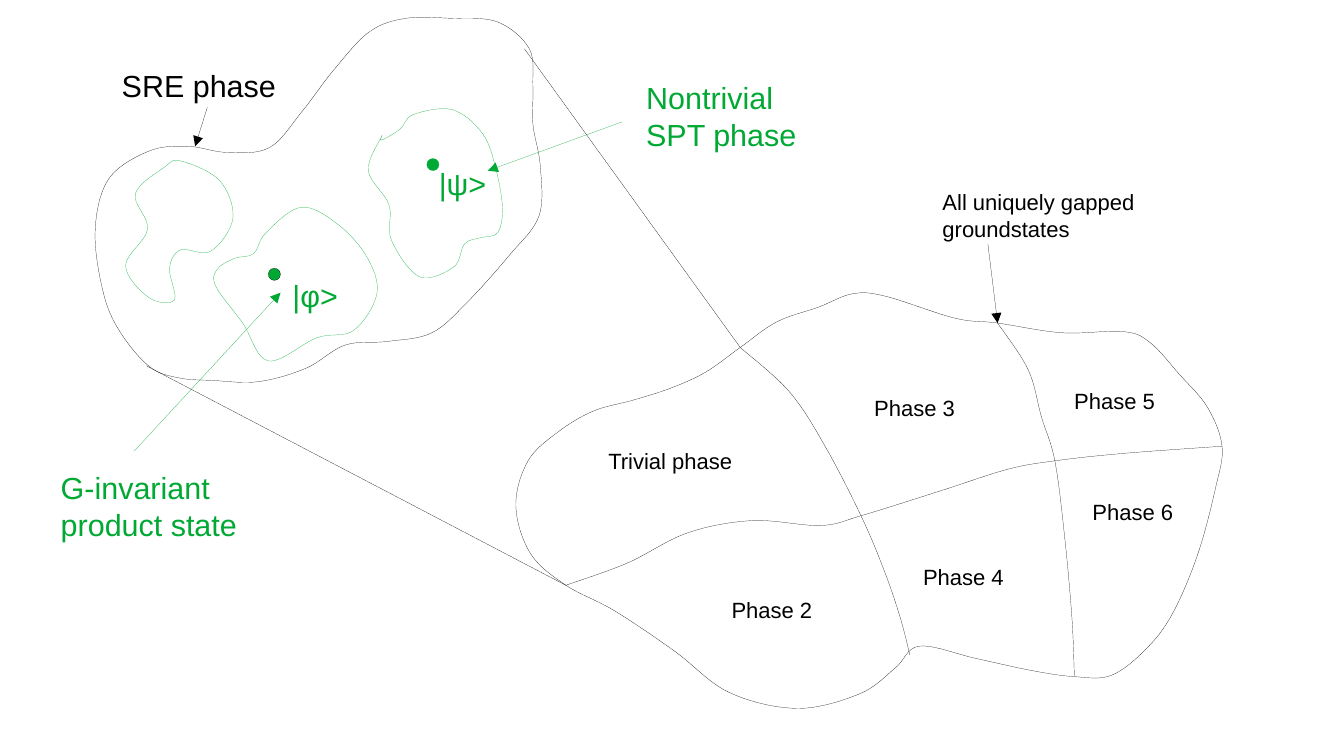
from lxml.etree import SubElement
from pptx import Presentation
from pptx.dml.color import RGBColor
from pptx.enum.shapes import MSO_CONNECTOR, MSO_SHAPE
from pptx.enum.text import MSO_AUTO_SIZE
from pptx.oxml.ns import qn
from pptx.util import Inches, Pt

BLACK = RGBColor(0x00, 0x00, 0x00)
GREEN = RGBColor(0x00, 0xA9, 0x33)
FONT = "Arial"
SMALL, LARGE = 13, 18  # points
HAIRLINE = Pt(0.1)
STATE_SIZE = 0.1  # diameter of a state's dot, in inches

# Junctions, in inches: where the phase borders meet the rim or each other.
TOP_LEFT, TOP_RIGHT = (6.07, 2.85), (8.18, 2.65)
LEFT, RIGHT = (4.64, 4.8), (10.02, 3.66)
BOTTOM_LEFT, BOTTOM_RIGHT = (7.46, 5.37), (8.81, 5.55)
LEFT_CROSSING, RIGHT_CROSSING = (7.06, 4.23), (8.65, 3.78)

# Every curve passes smoothly through its anchors.
RIM = [
    TOP_LEFT, (5.79, 3.05), (5.51, 3.18), (5.2, 3.28), (4.87, 3.37), (4.58, 3.54),
    (4.33, 3.78), (4.23, 4.15), (4.35, 4.54), LEFT, (5.04, 5.01), (5.53, 5.34),
    (5.98, 5.68), (6.54, 5.81), (7.05, 5.69), (7.34, 5.48), (7.54, 5.3), (8.0, 5.4),
    (8.46, 5.5), BOTTOM_RIGHT, (9.11, 5.54), (9.39, 5.33), (9.61, 5.04), (9.82, 4.55),
    (9.97, 3.99), RIGHT, (9.9, 3.34), (9.67, 3.07), (9.43, 2.81), (9.21, 2.72),
    (8.71, 2.73), TOP_RIGHT, (7.83, 2.61), (7.26, 2.43), (6.99, 2.41), (6.71, 2.52),
    (6.37, 2.64),
]
BORDERS = {
    "left": [TOP_LEFT, (6.47, 3.21), (6.76, 3.65), LEFT_CROSSING, (7.25, 4.68),
             (7.38, 5.06), BOTTOM_LEFT],
    "right": [TOP_RIGHT, (8.43, 3.03), (8.54, 3.42), RIGHT_CROSSING, (8.73, 4.4),
              (8.79, 5.07), BOTTOM_RIGHT],
    "across": [LEFT, (5.14, 4.62), (5.64, 4.37), (6.17, 4.27), (6.73, 4.31),
               LEFT_CROSSING, (7.7, 4.03), (8.26, 3.85), RIGHT_CROSSING, (9.2, 3.72),
               RIGHT],
}
SRE_LOWER, SRE_UPPER = (1.23, 3.01), (4.34, 0.4)  # where the magnified view attaches
SRE_RIM = [
    SRE_LOWER, (0.99, 2.73), (0.85, 2.41), (0.78, 1.9), (0.89, 1.47), (1.22, 1.24),
    (1.54, 1.2), (1.86, 1.25), (2.21, 1.21), (2.48, 0.91), (2.74, 0.57), (3.03, 0.26),
    (3.33, 0.15), (3.7, 0.15), (4.08, 0.18), SRE_UPPER, (4.37, 0.71), (4.37, 1.02),
    (4.43, 1.36), (4.42, 1.77), (4.18, 2.09), (3.83, 2.48), (3.54, 2.73), (3.18, 2.8),
    (2.83, 2.83), (2.51, 3.02), (2.12, 3.13), (1.74, 3.12), (1.47, 3.1),
]
SPT_RIMS = {
    "product": [(2.18, 1.91), (2.08, 2.08), (1.92, 2.12), (1.78, 2.21), (1.77, 2.35),
                (1.99, 2.65), (2.2, 2.96), (2.6, 2.77), (2.9, 2.71), (3.09, 2.41),
                (3.01, 2.11), (2.77, 1.84), (2.47, 1.7)],
    "nontrivial": [(3.13, 1.12), (3.02, 1.4), (3.19, 1.68), (3.21, 1.97), (3.44, 2.27),
                   (3.72, 2.19), (3.81, 2.0), (3.94, 1.95), (4.08, 1.91), (4.12, 1.71),
                   (4.07, 1.4), (3.96, 1.1), (3.71, 0.9), (3.39, 0.94), (3.28, 1.06),
                   (3.13, 1.15)],
    "third": [(1.35, 1.37), (1.11, 1.59), (1.21, 1.88), (1.03, 2.18), (1.22, 2.44),
              (1.43, 2.46), (1.39, 2.2), (1.48, 2.05), (1.73, 2.06), (1.91, 1.79),
              (1.8, 1.48), (1.48, 1.32)],
}
ZOOM_LINES = [(LEFT, (1.2, 3)), (TOP_LEFT, (4.3, 0.4))]
STATES = [((2.2, 2.2), BLACK), ((3.5, 1.3), GREEN)]  # corner, outline colour
PHASES = {  # name: corner of its label
    "Trivial phase": (4.89, 3.62),
    "Phase 2": (5.9, 4.84),
    "Phase 3": (7.07, 3.19),
    "Phase 4": (7.47, 4.57),
    "Phase 5": (8.71, 3.13),
    "Phase 6": (8.86, 4.04),
}
STATE_NAMES = {"|φ>": (2.3, 2.22), "|ψ>": (3.5, 1.3)}
CALLOUTS = [  # text, corner, width, size, colour, arrow start, arrow end
    ("All uniquely gapped groundstates", (7.63, 1.5), 1.87, SMALL, BLACK, (8.1, 2), TOP_RIGHT),
    ("SRE phase", (0.9, 0.5), 1.5, LARGE, BLACK, (1.7, 0.88), (1.6, 1.2)),
    ("Nontrivial\nSPT phase", (5.2, 0.6), 1.9, LARGE, GREEN, (5.1, 1), (4, 1.4)),
    ("G-invariant product state", (0.4, 3.8), 2.1, LARGE, GREEN, (1.1, 3.7), (2.3, 2.4)),
]


def emu(*lengths):
    return [Inches(length) for length in lengths]


def set_hairline(shape, colour):
    shape.line.color.rgb = colour
    shape.line.width = HAIRLINE


def smooth(curve, closed):
    """Turn the straight segments of a freeform into Catmull-Rom curves."""
    anchors = [(int(pt.get("x")), int(pt.get("y"))) for pt in curve._element.iter(qn("a:pt"))]
    before, after = (anchors[-2], anchors[1]) if closed else (anchors[0], anchors[-1])
    padded = [before, *anchors, after]
    for i, segment in enumerate(list(curve._element.iter(qn("a:lnTo")))):
        p0, p1, p2, p3 = padded[i:i + 4]
        leave = [b + (c - a) / 6 for a, b, c in zip(p0, p1, p2)]
        arrive = [b - (c - a) / 6 for a, b, c in zip(p1, p2, p3)]
        segment.tag = qn("a:cubicBezTo")
        segment.clear()
        for x, y in (leave, arrive, p2):
            SubElement(segment, qn("a:pt"), x=str(round(x)), y=str(round(y)))


def add_curve(shapes, anchors, colour, closed=True):
    start, *rest = [emu(*anchor) for anchor in anchors]
    builder = shapes.build_freeform(*start)
    builder.add_line_segments(rest + [start] if closed else rest, close=closed)
    curve = builder.convert_to_shape()
    smooth(curve, closed)
    curve.shadow.inherit = False
    curve.fill.background()
    set_hairline(curve, colour)


def add_line(shapes, start, end, colour, arrow=False):
    line = shapes.add_connector(MSO_CONNECTOR.STRAIGHT, *emu(*start, *end))
    set_hairline(line, colour)
    if arrow:
        SubElement(line.line._get_or_add_ln(), qn("a:tailEnd"), type="triangle")
    SubElement(line._element.spPr, qn("a:effectLst"))


def add_state(shapes, corner, outline):
    state = shapes.add_shape(MSO_SHAPE.OVAL, *emu(*corner, STATE_SIZE, STATE_SIZE))
    state.shadow.inherit = False
    state.fill.solid()
    state.fill.fore_color.rgb = GREEN
    set_hairline(state, outline)


def add_label(shapes, text, corner, width, size, colour, lines=1):
    height = 0.1 + lines * size * 1.12 / 72  # margins plus lines of text
    frame = shapes.add_textbox(*emu(*corner, width, height)).text_frame
    frame.word_wrap = True
    frame.auto_size = MSO_AUTO_SIZE.SHAPE_TO_FIT_TEXT
    frame.text = text
    for paragraph in frame.paragraphs:
        paragraph.font.name = FONT
        paragraph.font.size = Pt(size)
        paragraph.font.color.rgb = colour


def draw_gapped_states(shapes):
    add_curve(shapes, RIM, BLACK)
    for border in BORDERS.values():
        add_curve(shapes, border, BLACK, closed=False)
    for name, corner in PHASES.items():
        add_label(shapes, name, corner, 1.33 if name == "Trivial phase" else 0.87, SMALL, BLACK)


def draw_magnified_phase(shapes):
    for start, end in ZOOM_LINES:
        add_line(shapes, start, end, BLACK)
    add_curve(shapes, SRE_RIM, BLACK)
    for rim in SPT_RIMS.values():
        add_curve(shapes, rim, GREEN)
    for corner, outline in STATES:
        add_state(shapes, corner, outline)
    for name, corner in STATE_NAMES.items():
        add_label(shapes, name, corner, 0.8, LARGE, GREEN)


def draw_callouts(shapes):
    for text, corner, width, size, colour, start, end in CALLOUTS:
        add_label(shapes, text, corner, width, size, colour, lines=1 if text == "SRE phase" else 2)
        add_line(shapes, start, end, colour, arrow=True)


def main():
    deck = Presentation()
    deck.slide_width, deck.slide_height = emu(11.02, 6.2)
    shapes = deck.slides.add_slide(deck.slide_layouts[6]).shapes
    draw_gapped_states(shapes)
    draw_magnified_phase(shapes)
    draw_callouts(shapes)
    deck.save("out.pptx")


if __name__ == "__main__":
    main()
